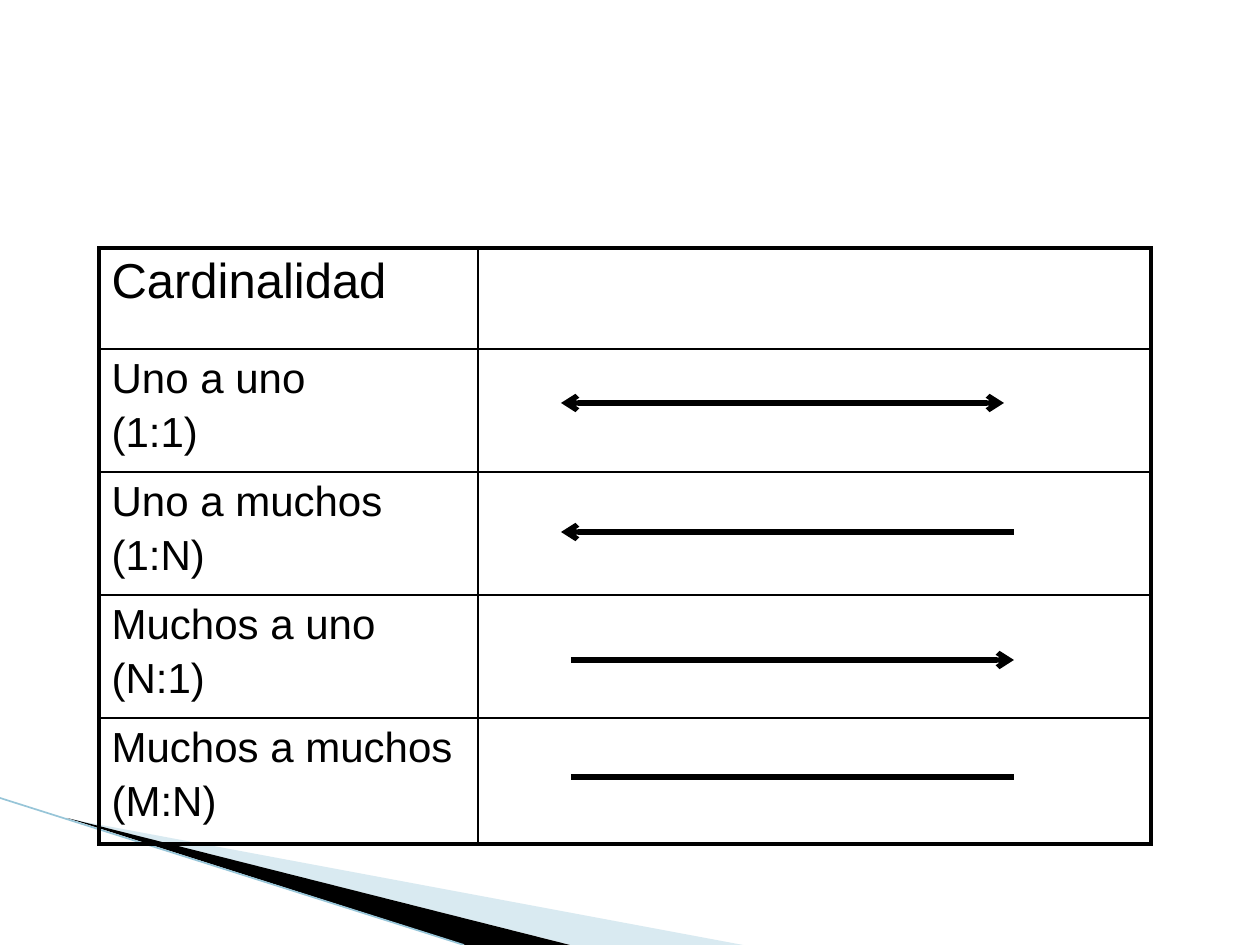
from lxml import etree
from pptx import Presentation
from pptx import util as u
from pptx.dml.color import RGBColor
from pptx.enum import shapes
from pptx.oxml.ns import qn

SCALE = 914400 / 126
COLORS = {"ink": "000000", "pale": "A0CBDC", "edge": "97C5D8"}
FONT = "Arial"
THICK, THIN = 2.25, 1

COLS = [379, 673]
ROWS = [101, 123, 123, 123, 126]
LABELS = [
    ["Cardinalidad"],
    ["Uno a uno", "(1:1)"],
    ["Uno a muchos", "(1:N)"],
    ["Muchos a uno", "(N:1)"],
    ["Muchos a muchos", "(M:N)"],
]
# start x, end x, y, arrow ends
LINKS = [
    (561, 1004, 403, ["headEnd", "tailEnd"]),
    (1014, 561, 532, ["tailEnd"]),
    (571, 1014, 660, ["tailEnd"]),
    (571, 1014, 777, []),
]


def px(n):
    return u.Emu(round(n * SCALE))


def color(name):
    return RGBColor.from_string(COLORS[name])


def add_wedge(slide, points, name, alpha=None):
    build = slide.shapes.build_freeform(*points[0], scale=SCALE)
    build.add_line_segments(points[1:], close=True)
    wedge = build.convert_to_shape()
    wedge.shadow.inherit = False
    wedge.fill.solid()
    wedge.fill.fore_color.rgb = color(name)
    wedge.line.fill.background()
    if alpha:
        tint = wedge.fill._xPr.find(".//" + qn("a:srgbClr"))
        etree.SubElement(tint, qn("a:alpha"), val=str(alpha * 1000))


def add_line(slide, start, end, name, width, ends=()):
    line = slide.shapes.add_connector(
        shapes.MSO_CONNECTOR.STRAIGHT, *map(px, start + end))
    line.line.color.rgb = color(name)
    line.line.width = u.Pt(width)
    stroke = line.line._get_or_add_ln()
    for tag in ends:
        etree.SubElement(stroke, qn("a:" + tag), type="arrow")
    etree.SubElement(line._element.spPr, qn("a:effectLst"))


def set_border(cell, side, width):
    props = cell._tc.get_or_add_tcPr()
    edge = etree.SubElement(props, qn("a:ln" + side), w=str(u.Pt(width)))
    fill = etree.SubElement(edge, qn("a:solidFill"))
    etree.SubElement(fill, qn("a:srgbClr"), val=COLORS["ink"])


def set_text(cell, lines, size):
    cell.text_frame.text = "\n".join(lines)
    for i, para in enumerate(cell.text_frame.paragraphs):
        if i:
            para.space_before = u.Pt(4)
        para.font.name = FONT
        para.font.size = u.Pt(size)
        para.font.color.rgb = color("ink")


def add_grid(slide):
    frame = slide.shapes.add_table(
        len(ROWS), len(COLS), px(99), px(248), px(sum(COLS)), px(sum(ROWS)))
    table = frame.table
    table.first_row = table.horz_banding = False
    for col, width in zip(table.columns, COLS):
        col.width = px(width)
    for r, high in enumerate(ROWS):
        table.rows[r].height = px(high)
        for c in range(len(COLS)):
            cell = table.cell(r, c)
            # Heavy outer frame, thin inner rules
            outer = {"L": c == 0, "R": c == len(COLS) - 1,
                     "T": r == 0, "B": r == len(ROWS) - 1}
            for side, heavy in outer.items():
                set_border(cell, side, THICK if heavy else THIN)
            cell.fill.background()
        set_text(table.cell(r, 0), LABELS[r], 24 if r else 28)


def main():
    deck = Presentation()
    deck.slide_width, deck.slide_height = px(1260), px(945)
    slide = deck.slides.add_slide(deck.slide_layouts[6])

    # Corner decoration
    add_wedge(slide, [(69, 819), (743, 945), (571, 945)], "pale", 40)
    add_wedge(slide, [(67, 818), (570, 945), (465, 945)], "ink")
    add_line(slide, (0, 798), (464, 945), "edge", 0.95)

    # Cardinality table
    add_grid(slide)

    # Relation arrows
    for left, right, y, ends in LINKS:
        add_line(slide, (left, y), (right, y), "ink", 3, ends)

    deck.save("out.pptx")


if __name__ == "__main__":
    main()
